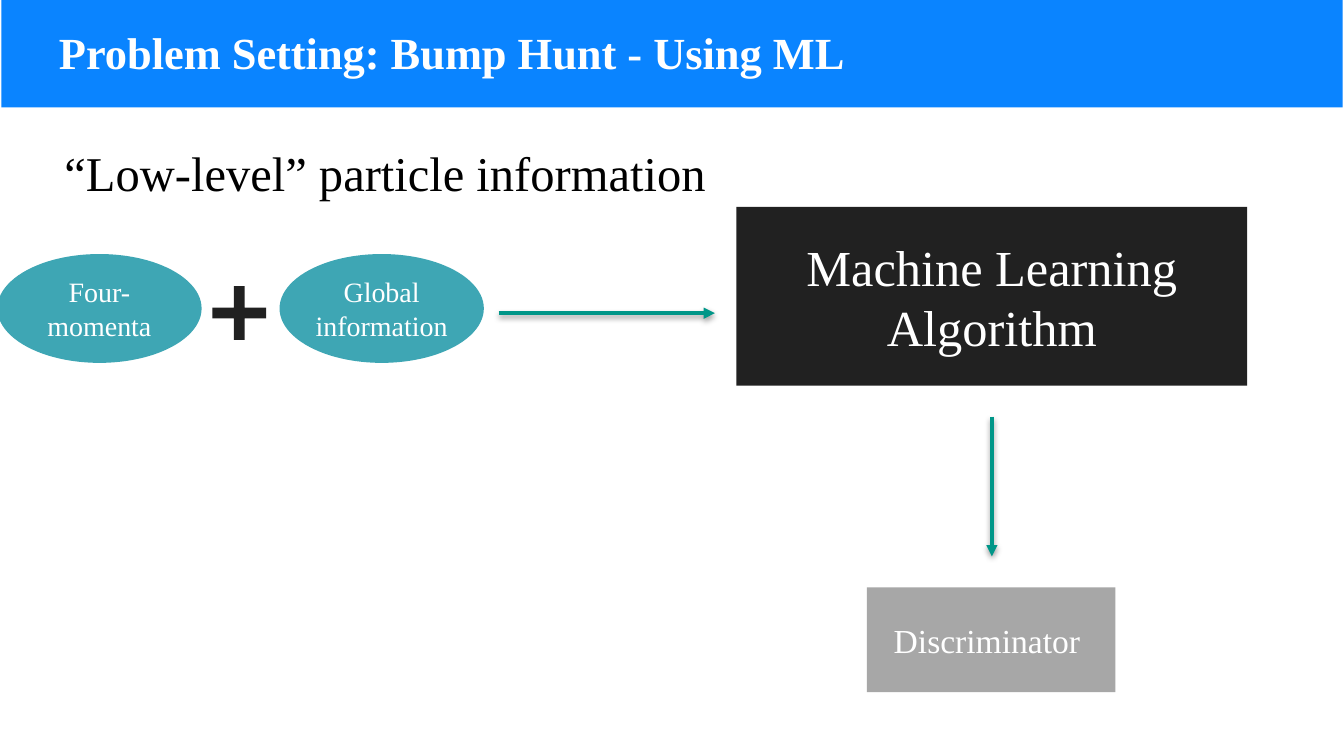
from dataclasses import dataclass

from lxml.etree import SubElement
from pptx import Presentation
from pptx.dml.color import RGBColor
from pptx.enum.shapes import MSO_CONNECTOR as Link, MSO_SHAPE as Form
from pptx.enum.text import MSO_ANCHOR as Anchor, PP_ALIGN as Align
from pptx.oxml.ns import qn
from pptx.util import Inches, Pt

COLORS = {
    "header": "0A84FF",
    "algorithm": "212121",
    "input": "3EA6B4",
    "output": "A7A7A7",
    "arrow": "009688",
    "white": "FFFFFF",
    "black": "000000",
}
FONT = "Times New Roman"

# Widescreen slide; ten grid columns across, rows as tall as the columns are wide
WIDTH = Inches(10)
HEIGHT = WIDTH * 9 // 16
CELL = WIDTH / 10


@dataclass(frozen=True)
class Area:
    col: float
    row: float
    cols: float
    rows: float

    def emu(self) -> list[int]:
        return [cells(n) for n in (self.col, self.row, self.cols, self.rows)]


@dataclass(frozen=True)
class Block:
    form: Form
    area: Area
    fill: str
    lines: tuple[str, ...] = ()
    size: float = 18


@dataclass(frozen=True)
class Label:
    area: Area
    text: str
    size: float
    color: str
    inset: float = 0
    bold: bool = False
    spacing: float = 1.0


@dataclass(frozen=True)
class Arrow:
    start: tuple[float, float]
    end: tuple[float, float]


def cells(count: float) -> int:
    return round(count * CELL)


def rgb(name: str) -> RGBColor:
    return RGBColor.from_string(COLORS[name])


def paint(shape, fill: str) -> None:
    shape.fill.solid()
    shape.fill.fore_color.rgb = rgb(fill)
    shape.line.fill.background()
    shape.shadow.inherit = False


def write(frame, lines: tuple[str, ...], size: float, color: str, align: Align,
          anchor: Anchor, inset: float = 0, bold: bool = False,
          spacing: float = 1.0) -> None:
    margin = cells(inset)
    frame_format = {
        "word_wrap": True, "vertical_anchor": anchor,
        "margin_left": margin, "margin_right": margin,
        "margin_top": margin, "margin_bottom": margin,
    }
    for key, value in frame_format.items():
        setattr(frame, key, value)
    for index, line in enumerate(lines):
        paragraph = frame.add_paragraph() if index else frame.paragraphs[0]
        paragraph.alignment = align
        paragraph.line_spacing = spacing
        run = paragraph.add_run()
        run.text = line
        for key, value in {"name": FONT, "size": Pt(size), "bold": bold}.items():
            setattr(run.font, key, value)
        run.font.color.rgb = rgb(color)


def draw_block(shapes, block: Block) -> None:
    shape = shapes.add_shape(block.form, *block.area.emu())
    paint(shape, block.fill)
    if block.lines:
        write(shape.text_frame, block.lines, block.size, "white",
              Align.CENTER, Anchor.MIDDLE)


def draw_label(shapes, label: Label) -> None:
    box = shapes.add_textbox(*label.area.emu())
    write(box.text_frame, (label.text,), label.size, label.color, Align.LEFT,
          Anchor.TOP, label.inset, label.bold, label.spacing)


def draw_arrow(shapes, arrow: Arrow) -> None:
    ends = [cells(n) for n in (*arrow.start, *arrow.end)]
    connector = shapes.add_connector(Link.STRAIGHT, *ends)
    connector.line.color.rgb = rgb("arrow")
    connector.line.width = Pt(2)
    outline = connector._element.spPr.find(qn("a:ln"))
    SubElement(outline, qn("a:tailEnd"), type="triangle")
    # Soft shadow falling straight down
    effects = SubElement(connector._element.spPr, qn("a:effectLst"))
    shadow = SubElement(effects, qn("a:outerShdw"), blurRad=str(Pt(3)),
                        dist=str(Pt(1.6)), dir="5400000", rotWithShape="0")
    tint = SubElement(shadow, qn("a:srgbClr"), val=COLORS["black"])
    SubElement(tint, qn("a:alpha"), val="38000")


def draw_plus(shapes, col: float, row: float, reach: float, half: float) -> None:
    # One arm's three corners, turned by a quarter four times
    corners = [(-half, -reach), (half, -reach), (half, -half)]
    points = []
    for _ in range(4):
        points += corners
        corners = [(-dy, dx) for dx, dy in corners]
    places = [(cells(col + dx), cells(row + dy)) for dx, dy in points]
    builder = shapes.build_freeform(*places[0])
    builder.add_line_segments(places[1:], close=True)
    paint(builder.convert_to_shape(), "algorithm")


def main() -> None:
    deck = Presentation()
    deck.slide_width, deck.slide_height = WIDTH, HEIGHT
    shapes = deck.slides.add_slide(deck.slide_layouts[6]).shapes

    # Header band and headings
    draw_block(shapes, Block(Form.RECTANGLE, Area(0.01, 0, 9.98, 0.8), "header"))
    for label in (
        Label(Area(0.34, 0.09, 9.32, 0.63), "Problem Setting: Bump Hunt - Using ML",
              23.8, "white", inset=0.1, bold=True),
        Label(Area(0.48, 1, 5.8, 0.6), "“Low-level” particle information",
              26, "black", spacing=1.15),
    ):
        draw_label(shapes, label)

    # Algorithm and its output
    draw_block(shapes, Block(Form.RECTANGLE, Area(5.48, 1.54, 3.8, 1.33), "algorithm",
                             ("Machine Learning", "Algorithm"), 27))
    draw_block(shapes, Block(Form.RECTANGLE, Area(6.45, 4.37, 1.85, 0.78), "output",
                             ("Discriminator ",), 18))

    # Inputs, joined by a plus sign
    for col, text in ((-0.02, "Four-momenta"), (2.08, "Global information")):
        draw_block(shapes, Block(Form.OVAL, Area(col, 1.89, 1.52, 0.81), "input",
                                 (text,), 15))
    draw_plus(shapes, col=1.78, row=2.33, reach=0.2, half=0.04)

    # Flow from inputs to algorithm to discriminator
    for arrow in (Arrow((3.71, 2.33), (5.32, 2.33)), Arrow((7.38, 3.1), (7.38, 4.14))):
        draw_arrow(shapes, arrow)

    deck.save("out.pptx")


if __name__ == "__main__":
    main()
